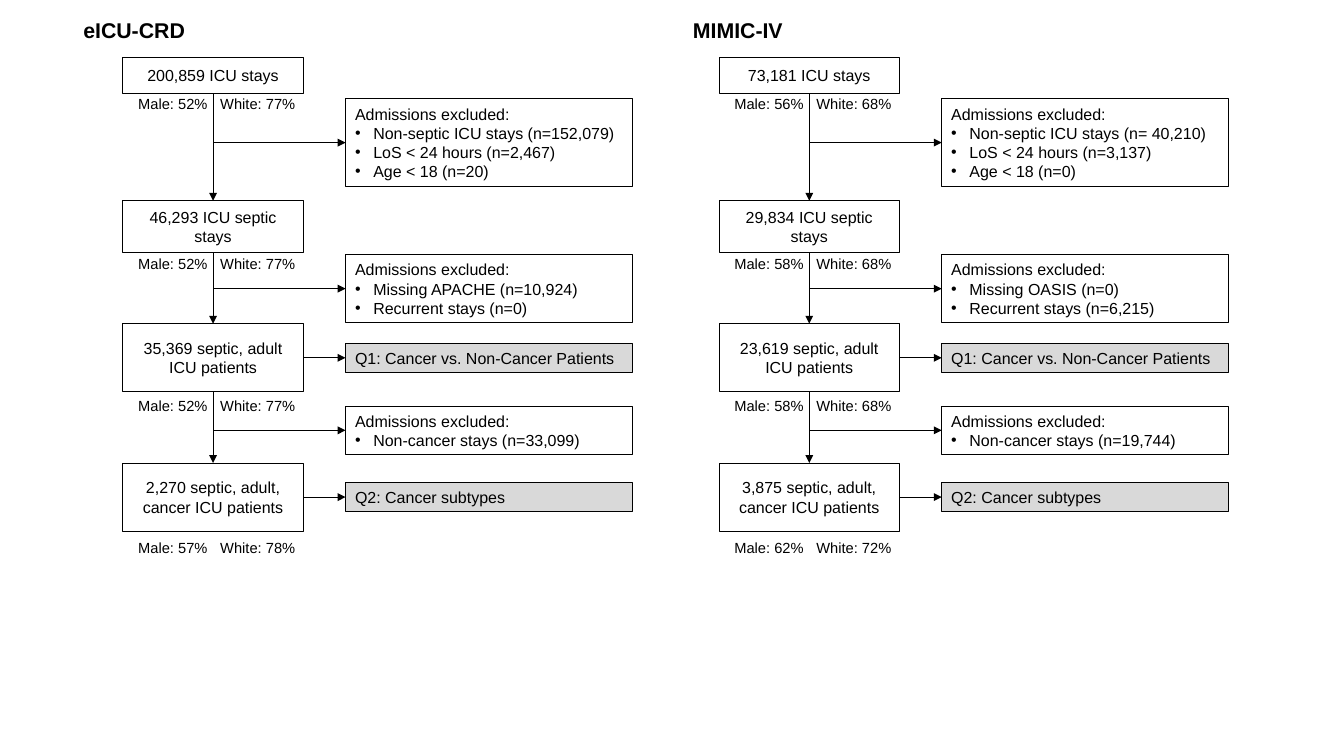
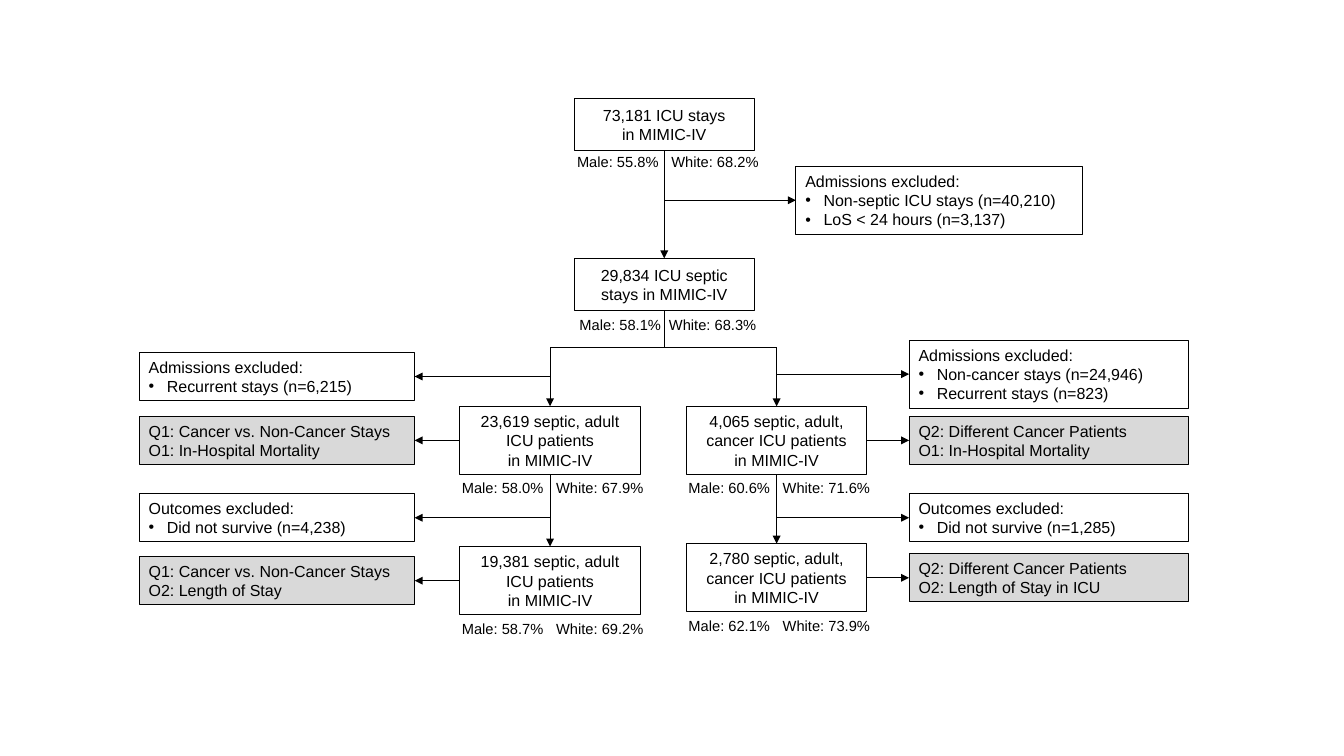
from lxml.etree import SubElement
from pptx import Presentation
from pptx.dml.color import RGBColor
from pptx.enum.shapes import MSO_CONNECTOR, MSO_SHAPE
from pptx.enum.text import MSO_ANCHOR, PP_ALIGN
from pptx.oxml.ns import qn
from pptx.util import Inches, Pt

COLORS = {"ink": "000000", "question": "D9D9D9"}
FONT = "Arial"
TOP, LEFT, BOTTOM, RIGHT = range(4)  # connection sites of a rectangle

STAGE_WIDTH = 1.88
INSET = 0.1

# Slide 1: two cohorts side by side, built on the same rows
COHORT_ROWS = {
    "stages": [(0.6, 0.37), (2.09, 0.54), (3.37, 0.71), (4.82, 0.71)],
    "exclusions": [(1.03, 0.91), (2.65, 0.71), (4.23, 0.5)],
    "shares": [0.94, 2.6, 4.08, 5.56],
}
PANEL_OFFSET, PANEL_WIDTH = 2.32, 2.99
QUESTION_HEIGHT = 0.3
QUESTIONS = {2: "Q1: Cancer vs. Non-Cancer Patients", 3: "Q2: Cancer subtypes"}
COHORTS = [
    {
        "title": "eICU-CRD", "title_left": 0.77, "title_width": 1.27, "left": 1.28,
        "stages": ["200,859 ICU stays", "46,293 ICU septic stays",
                   "35,369 septic, adult ICU patients",
                   "2,270 septic, adult, cancer ICU patients"],
        "shares": [("52%", "77%"), ("52%", "77%"), ("52%", "77%"), ("57%", "78%")],
        "exclusions": [
            ["Non-septic ICU stays (n=152,079)", "LoS < 24 hours (n=2,467)", "Age < 18 (n=20)"],
            ["Missing APACHE (n=10,924)", "Recurrent stays (n=0)"],
            ["Non-cancer stays (n=33,099)"],
        ],
    },
    {
        "title": "MIMIC-IV", "title_left": 7.12, "title_width": 1.15, "left": 7.49,
        "stages": ["73,181 ICU stays", "29,834 ICU septic stays",
                   "23,619 septic, adult ICU patients",
                   "3,875 septic, adult, cancer ICU patients"],
        "shares": [("56%", "68%"), ("58%", "68%"), ("58%", "68%"), ("62%", "72%")],
        "exclusions": [
            ["Non-septic ICU stays (n= 40,210)", "LoS < 24 hours (n=3,137)", "Age < 18 (n=0)"],
            ["Missing OASIS (n=0)", "Recurrent stays (n=6,215)"],
            ["Non-cancer stays (n=19,744)"],
        ],
    },
]

# Slide 2: one trunk that splits into two branches
TRUNK_LEFT = 5.98
TRUNK = [
    (1.03, "73,181 ICU stays\nin MIMIC-IV", 1.54, ("55.8%", "68.2%"), 0.13),
    (2.69, "29,834 ICU septic stays in MIMIC-IV", 3.24, ("58.1%", "68.3%"), 0.08),
]
TRUNK_EXCLUSION = ["Non-septic ICU stays (n=40,210)", "LoS < 24 hours (n=3,137)"]
FORK_TOP = 3.62
PAIR_HEIGHT = 0.5
BRANCHES = [
    {
        "left": 4.79, "panel_left": 1.45, "panel_width": 2.87, "sides": (LEFT, RIGHT),
        "stages": [
            (4.23, "23,619 septic, adult ICU patients\nin MIMIC-IV", 4.94, ("58.0%", "67.9%")),
            (5.69, "19,381 septic, adult ICU patients\nin MIMIC-IV", 6.4, ("58.7%", "69.2%")),
        ],
        "exclusions": [
            (3.67, 0.5, "Admissions excluded:", ["Recurrent stays (n=6,215)"]),
            (5.14, 0.5, "Outcomes excluded:", ["Did not survive (n=4,238)"]),
        ],
        "questions": [["Q1: Cancer vs. Non-Cancer Stays", "O1: In-Hospital Mortality"],
                      ["Q1: Cancer vs. Non-Cancer Stays", "O2: Length of Stay"]],
    },
    {
        "left": 7.15, "panel_left": 9.47, "panel_width": 2.91, "sides": (RIGHT, LEFT),
        "stages": [
            (4.23, "4,065 septic, adult, cancer ICU patients\nin MIMIC-IV", 4.94, ("60.6%", "71.6%")),
            (5.66, "2,780 septic, adult, cancer ICU patients\nin MIMIC-IV", 6.37, ("62.1%", "73.9%")),
        ],
        "exclusions": [
            (3.54, 0.71, "Admissions excluded:",
             ["Non-cancer stays (n=24,946)", "Recurrent stays (n=823)"]),
            (5.14, 0.5, "Outcomes excluded:", ["Did not survive (n=1,285)"]),
        ],
        "questions": [["Q2: Different Cancer Patients", "O1: In-Hospital Mortality"],
                      ["Q2: Different Cancer Patients", "O2: Length of Stay in ICU"]],
    },
]


def add_text(paragraph, text, size=12, bold=False):
    """Add text as runs, with a line break at each newline."""
    for index, line in enumerate(text.split("\n")):
        if index:
            paragraph.add_line_break()
        run = paragraph.add_run()
        run.text = line
        run.font.name = FONT
        run.font.size = Pt(size)
        run.font.bold = bold
        run.font.color.rgb = RGBColor.from_string(COLORS["ink"])


def add_bullet(paragraph):
    properties = paragraph._p.get_or_add_pPr()
    properties.set("marL", str(Inches(0.19)))
    properties.set("indent", str(Inches(-0.19)))
    SubElement(properties, qn("a:buFont"), typeface=FONT)
    SubElement(properties, qn("a:buChar"), char="•")


def add_box(shapes, left, top, width, height, lines, align=PP_ALIGN.LEFT,
            fill=None, bulleted=False):
    """Add an outlined box; with bulleted, every line after the first is a bullet."""
    box = shapes.add_shape(MSO_SHAPE.RECTANGLE, Inches(left), Inches(top),
                           Inches(width), Inches(height))
    box.shadow.inherit = False
    if fill:
        box.fill.solid()
        box.fill.fore_color.rgb = RGBColor.from_string(fill)
    else:
        box.fill.background()
    box.line.color.rgb = RGBColor.from_string(COLORS["ink"])
    box.line.width = Pt(0.75)
    frame = box.text_frame
    frame.word_wrap = True
    frame.vertical_anchor = MSO_ANCHOR.MIDDLE
    for index, line in enumerate(lines):
        paragraph = frame.add_paragraph() if index else frame.paragraphs[0]
        paragraph.alignment = align
        if bulleted and index:
            add_bullet(paragraph)
        add_text(paragraph, line)
    return box


def add_stage(shapes, left, top, height, text):
    return add_box(shapes, left, top, STAGE_WIDTH, height, [text], PP_ALIGN.CENTER)


def add_exclusion(shapes, left, top, width, height, heading, reasons):
    return add_box(shapes, left, top, width, height, [heading, *reasons], bulleted=True)


def add_question(shapes, stage, stage_side, left, width, height, lines):
    """Add a grey box level with its stage, and the arrow to it."""
    top = site_point(stage, stage_side)[1] / Inches(1) - height / 2
    box = add_box(shapes, left, top, width, height, lines, fill=COLORS["question"])
    add_line(shapes, (stage, stage_side), (box, LEFT + RIGHT - stage_side))


def add_shares(shapes, middle, top, shares, width=2.6, gap=0.13):
    """Write the two shares on either side of the x position middle."""
    male, white = shares
    label = shapes.add_textbox(Inches(middle - width / 2), Inches(top),
                               Inches(width), Inches(0.29))
    label.text_frame.word_wrap = True
    paragraph = label.text_frame.paragraphs[0]
    tabs = SubElement(paragraph._p.get_or_add_pPr(), qn("a:tabLst"))
    for shift, align in ((-gap / 2, "r"), (gap / 2, "l")):
        SubElement(tabs, qn("a:tab"), pos=str(Inches(width / 2 - INSET + shift)), algn=align)
    add_text(paragraph, f"\tMale: {male}\tWhite: {white}", size=11)


def site_point(shape, site):
    middle = shape.left + shape.width // 2
    center = shape.top + shape.height // 2
    return [(middle, shape.top), (shape.left, center),
            (middle, shape.top + shape.height), (shape.left + shape.width, center)][site]


def add_line(shapes, start, end, arrow=True):
    """Draw a line; each end is a (shape, site) pair or an (x, y) point in EMU."""
    joined = [hasattr(point[0], "shape_id") for point in (start, end)]
    points = [site_point(*point) if is_joined else point
              for point, is_joined in zip((start, end), joined)]
    line = shapes.add_connector(MSO_CONNECTOR.STRAIGHT, *points[0], *points[1])
    if joined[0]:
        line.begin_connect(*start)
    if joined[1]:
        line.end_connect(*end)
    line.line.color.rgb = RGBColor.from_string(COLORS["ink"])
    line.line.width = Pt(0.75)
    if arrow:
        SubElement(line.line._get_or_add_ln(), qn("a:tailEnd"), type="triangle")
    SubElement(line._element.spPr, qn("a:effectLst"))


def add_side_arrow(shapes, middle, box, site):
    """Draw an arrow from the vertical line at x position middle to a box."""
    add_line(shapes, (Inches(middle), site_point(box, site)[1]), (box, site))


def add_cohort(shapes, cohort):
    left = cohort["left"]
    middle = left + STAGE_WIDTH / 2
    panel_left = left + PANEL_OFFSET
    title = shapes.add_textbox(Inches(cohort["title_left"]), Inches(0.13),
                               Inches(cohort["title_width"]), Inches(0.37))
    title.text_frame.word_wrap = False
    add_text(title.text_frame.paragraphs[0], cohort["title"], size=16, bold=True)

    stages = [add_stage(shapes, left, top, height, text)
              for (top, height), text in zip(COHORT_ROWS["stages"], cohort["stages"])]
    for upper, lower in zip(stages, stages[1:]):
        add_line(shapes, (upper, BOTTOM), (lower, TOP))
    for (top, height), reasons in zip(COHORT_ROWS["exclusions"], cohort["exclusions"]):
        box = add_exclusion(shapes, panel_left, top, PANEL_WIDTH, height,
                            "Admissions excluded:", reasons)
        add_side_arrow(shapes, middle, box, LEFT)
    for row, text in QUESTIONS.items():
        add_question(shapes, stages[row], RIGHT, panel_left, PANEL_WIDTH,
                     QUESTION_HEIGHT, [text])
    for top, shares in zip(COHORT_ROWS["shares"], cohort["shares"]):
        add_shares(shapes, middle + 0.01, top, shares, width=2.99)


def add_trunk(shapes):
    middle = TRUNK_LEFT + STAGE_WIDTH / 2
    stages = []
    for top, text, shares_top, shares, gap in TRUNK:
        stages.append(add_stage(shapes, TRUNK_LEFT, top, 0.54, text))
        add_shares(shapes, middle + 0.01, shares_top, shares, gap=gap)
    add_line(shapes, (stages[0], BOTTOM), (stages[1], TOP))
    box = add_exclusion(shapes, 8.29, 1.73, 2.99, 0.71, "Admissions excluded:", TRUNK_EXCLUSION)
    add_side_arrow(shapes, middle, box, LEFT)
    add_line(shapes, (stages[1], BOTTOM), (Inches(middle), Inches(FORK_TOP)), arrow=False)


def add_branch(shapes, branch):
    left, panel_left, width = branch["left"], branch["panel_left"], branch["panel_width"]
    stage_side, panel_side = branch["sides"]
    middle = left + STAGE_WIDTH / 2
    fork = (Inches(middle), Inches(FORK_TOP))
    add_line(shapes, (Inches(TRUNK_LEFT + STAGE_WIDTH / 2), Inches(FORK_TOP)), fork, arrow=False)
    start = fork
    for (top, text, shares_top, shares), exclusion, question in zip(
            branch["stages"], branch["exclusions"], branch["questions"]):
        stage = add_stage(shapes, left, top, 0.71, text)
        add_line(shapes, start, (stage, TOP))
        start = (stage, BOTTOM)
        box_top, box_height, heading, reasons = exclusion
        box = add_exclusion(shapes, panel_left, box_top, width, box_height, heading, reasons)
        add_side_arrow(shapes, middle, box, panel_side)
        add_question(shapes, stage, stage_side, panel_left, width, PAIR_HEIGHT, question)
        add_shares(shapes, middle, shares_top, shares)


def main():
    presentation = Presentation()
    presentation.slide_width = Inches(14)
    presentation.slide_height = Inches(7.87)
    blank = presentation.slide_layouts[6]

    cohort_slide = presentation.slides.add_slide(blank)
    for cohort in COHORTS:
        add_cohort(cohort_slide.shapes, cohort)

    branch_slide = presentation.slides.add_slide(blank)
    flowchart = branch_slide.shapes.add_group_shape().shapes
    add_trunk(flowchart)
    for branch in BRANCHES:
        add_branch(flowchart, branch)

    presentation.save("out.pptx")


if __name__ == "__main__":
    main()
